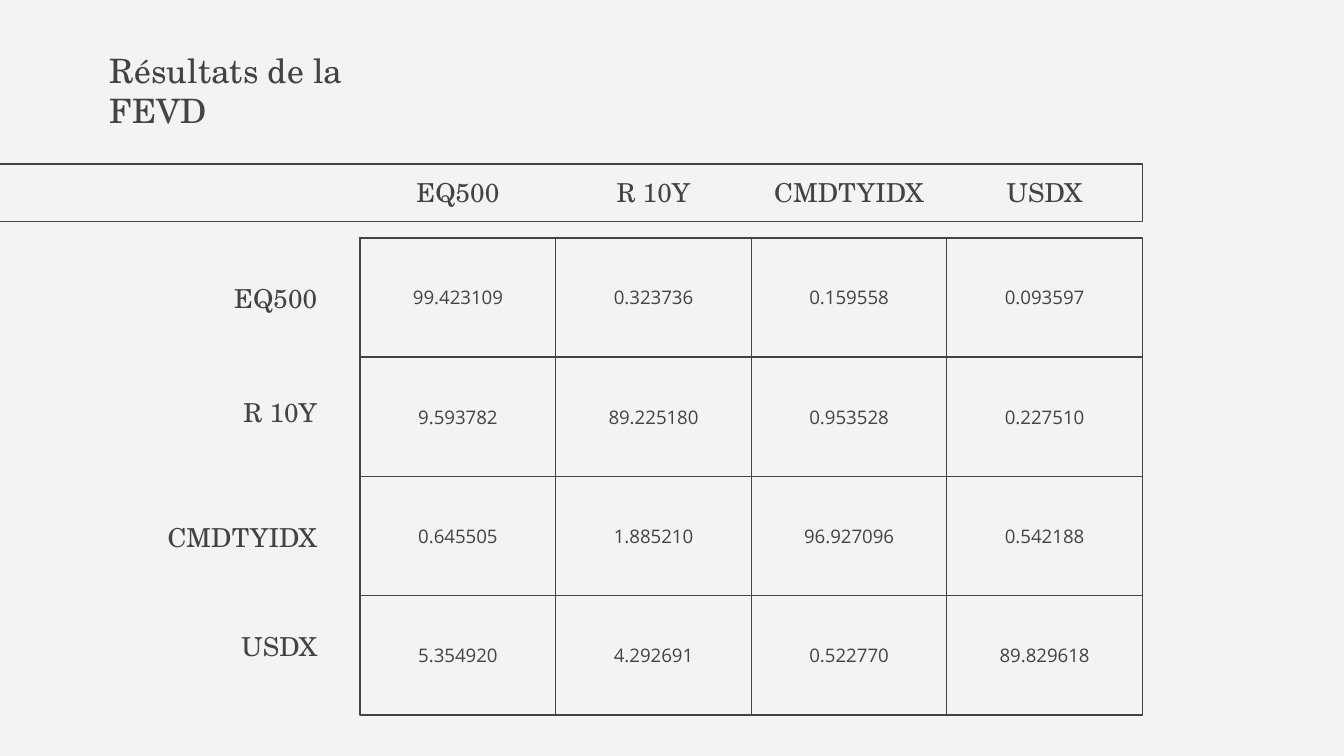
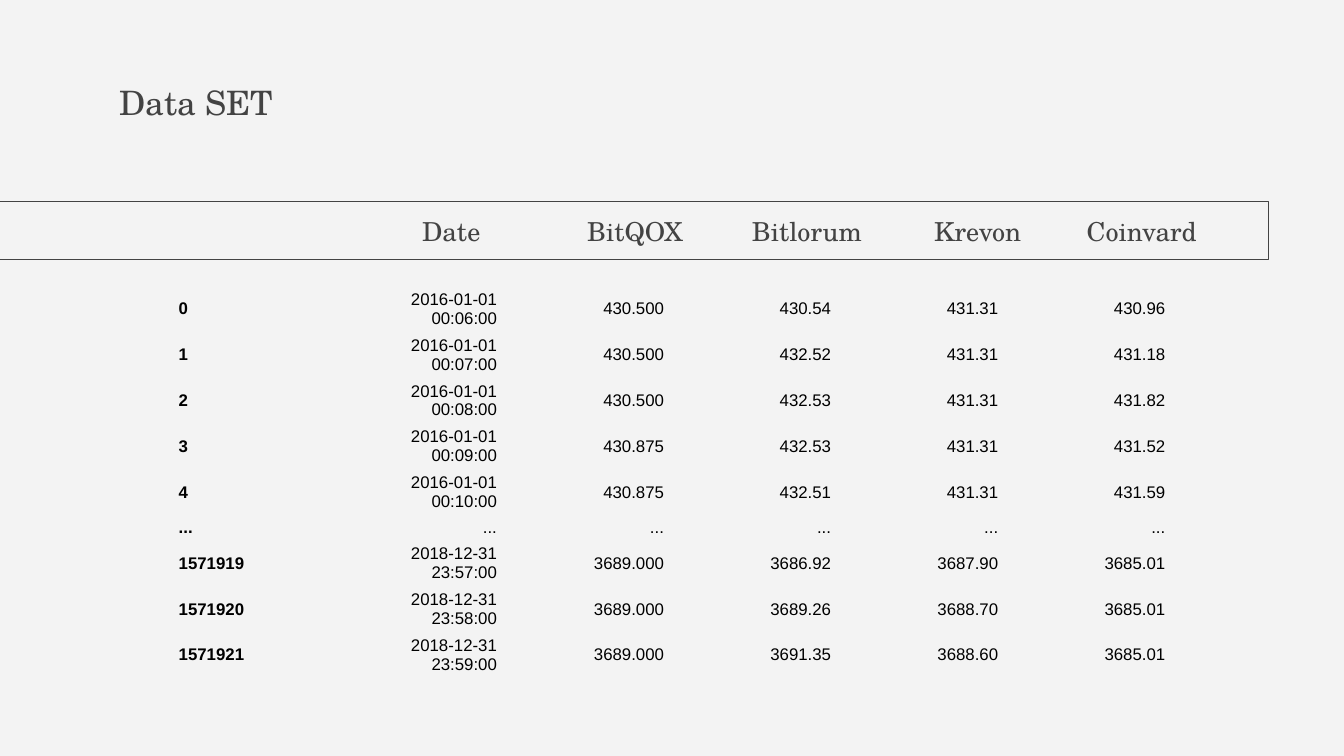
from dataclasses import dataclass

from pptx import Presentation
from pptx.dml.color import RGBColor
from pptx.enum.shapes import MSO_SHAPE
from pptx.enum.text import MSO_ANCHOR, PP_ALIGN
from pptx.oxml.ns import qn
from pptx.util import Inches, Pt

RECT = MSO_SHAPE.RECTANGLE
LEFT, CENTER, RIGHT = PP_ALIGN.LEFT, PP_ALIGN.CENTER, PP_ALIGN.RIGHT
TOP, MIDDLE = MSO_ANCHOR.TOP, MSO_ANCHOR.MIDDLE

# Content: variance decomposition
FEVD_TITLE = "Résultats de la FEVD"
VARIABLES = ["EQ500", "R 10Y", "CMDTYIDX", "USDX"]
FEVD = [
    ["99.423109", "0.323736", "0.159558", "0.093597"],
    ["9.593782", "89.225180", "0.953528", "0.227510"],
    ["0.645505", "1.885210", "96.927096", "0.542188"],
    ["5.354920", "4.292691", "0.522770", "89.829618"],
]
# Top of each row label and the space kept below its text
ROW_LABELS = [(1.95, 0), (2.88, 0.16), (3.81, 0.16), (4.62, 0.16)]

# Content: price data
DATA_TITLE = "Data SET"
DATA_HEADS = [("Date ", 2.63), ("BitQOX", 3.97), ("Bitlorum", 5.25),
              ("Krevon", 6.52), ("Coinvard", 7.74)]
PRICES = [
    ["0", "2016-01-01 00:06:00", "430.500", "430.54", "431.31", "430.96"],
    ["1", "2016-01-01 00:07:00", "430.500", "432.52", "431.31", "431.18"],
    ["2", "2016-01-01 00:08:00", "430.500", "432.53", "431.31", "431.82"],
    ["3", "2016-01-01 00:09:00", "430.875", "432.53", "431.31", "431.52"],
    ["4", "2016-01-01 00:10:00", "430.875", "432.51", "431.31", "431.59"],
    ["..."] * 6,
    ["1571919", "2018-12-31 23:57:00", "3689.000", "3686.92", "3687.90", "3685.01"],
    ["1571920", "2018-12-31 23:58:00", "3689.000", "3689.26", "3688.70", "3685.01"],
    ["1571921", "2018-12-31 23:59:00", "3689.000", "3691.35", "3688.60", "3685.01"],
]


@dataclass(frozen=True)
class Theme:
    back: RGBColor = RGBColor(0xF3, 0xF3, 0xF3)
    ink: RGBColor = RGBColor(0x43, 0x43, 0x43)
    black: RGBColor = RGBColor(0, 0, 0)
    serif: str = "TeX Gyre Schola"
    sans: str = "Open Sans"
    table: str = "Arial"
    title: int = 18
    head: int = 14
    value: int = 10
    data: int = 9
    line: float = 0.75


T = Theme()
PAD = (0.1, 0.1, 0.1, 0.1)
LABEL_PAD = (0, 0.01, 0, 0)
CELL_PAD = (0.06, 0.02, 0.06, 0.02)
HEAD_W, HEAD_H = 1.51, 0.55
BAND_H = 0.43
NO_STYLE_NO_GRID = "{2D5ABB26-0587-4C30-8999-92F81FD0307C}"


def set_margins(target, pad):
    (target.margin_left, target.margin_top,
     target.margin_right, target.margin_bottom) = map(Inches, pad)


def write(tf, text, font, size, align, color=T.ink, bold=False):
    p = tf.paragraphs[0]
    p.alignment = align
    r = p.add_run()
    r.text = text
    r.font.name, r.font.size, r.font.bold = font, Pt(size), bold
    r.font.color.rgb = color


def outline(sp):
    sp.shadow.inherit = False
    sp.fill.background()
    sp.line.color.rgb = T.ink
    sp.line.width = Pt(T.line)


def add_rect(s, x, y, w, h):
    sp = s.shapes.add_shape(RECT, Inches(x), Inches(y), Inches(w), Inches(h))
    outline(sp)
    return sp


def add_text(s, text, x, y, w, h, size=T.head, align=CENTER, anchor=TOP, pad=LABEL_PAD):
    tf = s.shapes.add_textbox(Inches(x), Inches(y), Inches(w), Inches(h)).text_frame
    tf.word_wrap = True
    tf.vertical_anchor = anchor
    set_margins(tf, pad)
    write(tf, text, T.serif, size, align)


def add_page(prs, title, title_box, band_x, band_y, band_w):
    """Background, title and header band shared by the slides."""
    s = prs.slides.add_slide(prs.slide_layouts[6])
    s.background.fill.solid()
    s.background.fill.fore_color.rgb = T.back
    add_text(s, title, *title_box, size=T.title, align=LEFT, pad=PAD)
    add_rect(s, band_x, band_y, band_w, BAND_H)
    return s


def build_fevd(prs):
    s = add_page(prs, FEVD_TITLE, (0.72, 0.27, 2.57, 0.43), -0.52, 1.22, 9.02)
    x0, y0, grid_w, grid_h = 2.68, 1.77, 5.82, 3.55
    col_w, row_h = grid_w / len(VARIABLES), grid_h / len(FEVD)

    # Upper left edge of the grid
    fb = s.shapes.build_freeform(Inches(x0), Inches(y0 + 3 * row_h))
    fb.add_line_segments([(Inches(x0), Inches(y0)),
                          (Inches(x0 + grid_w), Inches(y0))], close=False)
    outline(fb.convert_to_shape())

    # Value grid
    for i, row in enumerate(FEVD):
        for j, value in enumerate(row):
            sp = add_rect(s, x0 + j * col_w, y0 + i * row_h, col_w, row_h)
            tf = sp.text_frame
            tf.word_wrap = True
            tf.vertical_anchor = MIDDLE
            set_margins(tf, PAD)
            write(tf, value, T.sans, T.value, CENTER)

    # Column heads, centred on their columns, and row labels
    for j, name in enumerate(VARIABLES):
        add_text(s, name, x0 + (j + 0.5) * col_w - HEAD_W / 2, 1.3, HEAD_W, HEAD_H)
    for name, (y, below) in zip(VARIABLES, ROW_LABELS):
        add_text(s, name, 1.14, y, 1.22, 0.53, align=RIGHT, anchor=MIDDLE,
                 pad=(0, 0.01, 0, below))


def build_data(prs):
    s = add_page(prs, DATA_TITLE, (0.79, 0.51, 1.64, 1.03), -0.43, 1.5, 9.87)
    for name, x in DATA_HEADS:
        add_text(s, name, x, 1.59, HEAD_W, HEAD_H)

    # Price table
    heights = [0.19 if row[0] == "..." else 0.34 for row in PRICES]
    n_cols = len(PRICES[0])
    frame = s.shapes.add_table(len(PRICES), n_cols, Inches(1.27), Inches(2.13),
                               Inches(7.46), Inches(sum(heights)))
    next(frame.element.iter(qn("a:tableStyleId"))).text = NO_STYLE_NO_GRID
    table = frame.table
    table.first_row = table.horz_banding = False
    for i, row in enumerate(PRICES):
        table.rows[i].height = Inches(heights[i])
        for j, value in enumerate(row):
            cell = table.cell(i, j)
            cell.fill.background()
            cell.vertical_anchor = MIDDLE
            set_margins(cell, CELL_PAD)
            write(cell.text_frame, value, T.table, T.data,
                  RIGHT if j else LEFT, T.black, bold=j == 0)


def main():
    prs = Presentation()
    prs.slide_width, prs.slide_height = Inches(10), Inches(5.625)
    build_fevd(prs)
    build_data(prs)
    prs.save("out.pptx")


if __name__ == "__main__":
    main()
